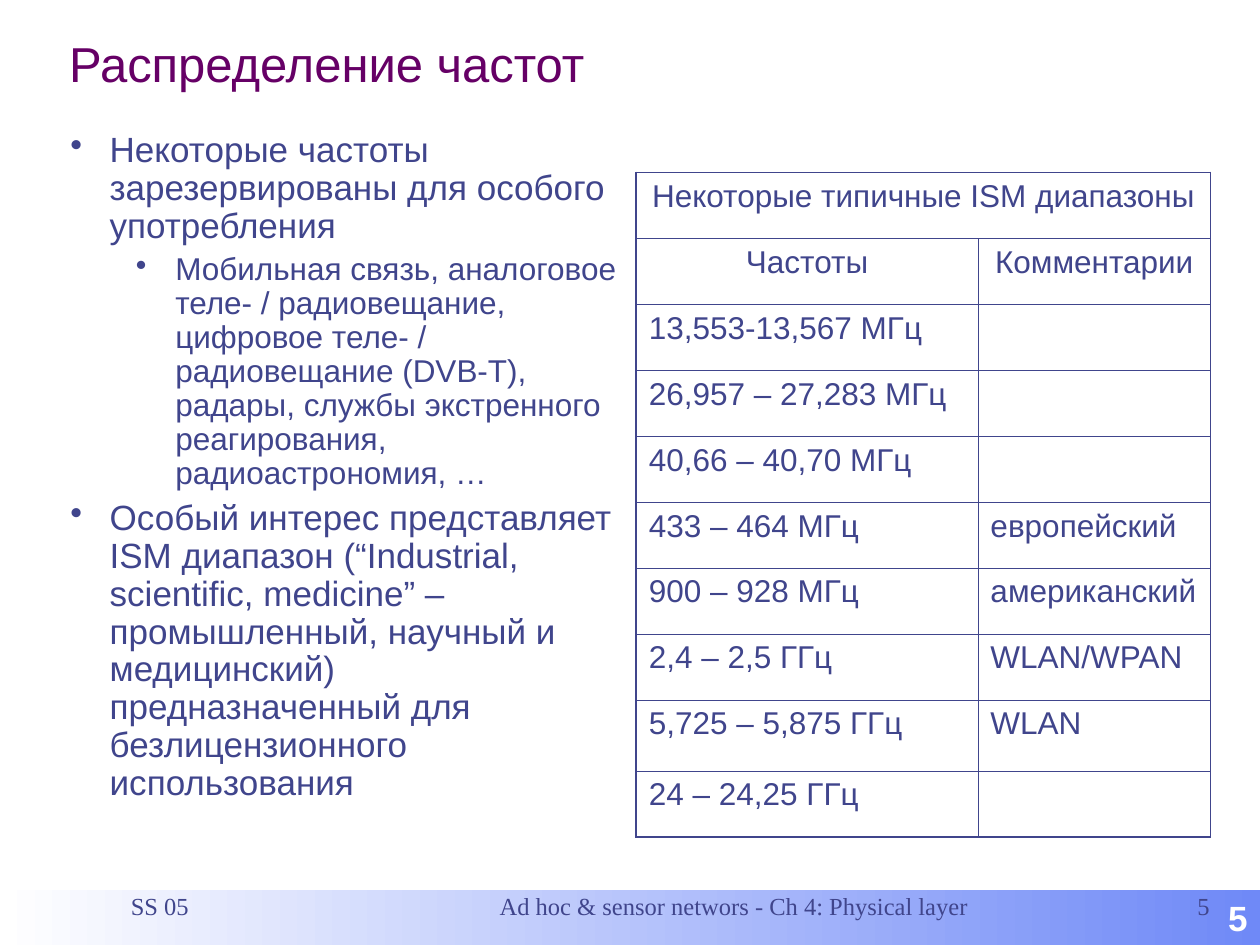
from pptx import Presentation
from pptx.dml.color import RGBColor
from pptx.enum.shapes import MSO_SHAPE as Shape
from pptx.enum.text import MSO_ANCHOR as Anchor, PP_ALIGN as Align
from pptx.oxml import parse_xml
from pptx.oxml.ns import nsdecls
from pptx.util import Pt

THEME = {
    "title": "660066", "ink": "40458C", "bar": "6F89F7", "paper": "FFFFFF",
    "sans": "Arial", "serif": "Times New Roman",
    "title_size": 28, "body_size": 20, "detail_size": 18, "footer_size": 14,
    "outer_line": 1.08, "inner_line": 0.45,
}

TITLE = "Распределение частот"
BULLETS = [
    (0, "Некоторые частоты зарезервированы для особого употребления"),
    (1, "Мобильная связь, аналоговое теле- / радиовещание, цифровое теле- / "
        "радиовещание (DVB-T), радары, службы экстренного реагирования, радиоастрономия, …"),
    (0, "Особый интерес представляет ISM диапазон (“Industrial, scientific, medicine” – "
        "промышленный, научный и медицинский) предназначенный для безлицензионного использования"),
]
BULLET_LEVELS = [
    {"size": THEME["body_size"], "indent": 22.5, "before": 5},
    {"size": THEME["detail_size"], "indent": 60, "before": 4.5},
]
BANDS = [
    ("Некоторые типичные ISM диапазоны", ""),
    ("Частоты", "Комментарии"),
    ("13,553-13,567 МГц", ""),
    ("26,957 – 27,283 МГц", ""),
    ("40,66 – 40,70 МГц", ""),
    ("433 – 464 МГц", "европейский"),
    ("900 – 928 МГц", "американский"),
    ("2,4 – 2,5 ГГц", "WLAN/WPAN"),
    ("5,725 – 5,875 ГГц", "WLAN"),
    ("24 – 24,25 ГГц", ""),
]
HEADER_ROWS = 2
COLUMN_WIDTHS = [195.2, 133]
ROW_HEIGHTS = [37.7] * 8 + [40.6, 37.7]
FOOTERS = [
    ("Ad hoc & sensor networs - Ch 4: Physical layer", 187.2, 447.1, Align.CENTER),
    ("5", 645.8, 52.6, Align.RIGHT),
    ("SS 05", 50.4, 125.3, Align.LEFT),
]


def color(name):
    return RGBColor.from_string(THEME[name])


def write(paragraph, text, *, size, font="sans", ink="ink", bold=False, align=Align.LEFT,
          indent=0, hanging=0, bullet=None, spacing=None, before=None):
    paragraph.alignment = align
    properties = paragraph._p.get_or_add_pPr()
    properties.set("marL", str(Pt(indent)))
    properties.set("indent", str(-Pt(hanging)))
    if bullet:
        properties.append(parse_xml(
            f'<a:buClr {nsdecls("a")}><a:srgbClr val="{THEME[ink]}"/></a:buClr>'))
        properties.append(parse_xml(f'<a:buChar {nsdecls("a")} char="{bullet}"/>'))
    if spacing:
        paragraph.line_spacing = spacing
    if before:
        paragraph.space_before = Pt(before)
    run = paragraph.add_run()
    run.text = text
    run.font.size = Pt(size)
    run.font.name = THEME[font]
    run.font.bold = bold
    run.font.color.rgb = color(ink)


def add_box(slide, left, top, width, height, anchor):
    frame = slide.shapes.add_textbox(Pt(left), Pt(top), Pt(width), Pt(height)).text_frame
    frame.word_wrap = True
    frame.vertical_anchor = anchor
    return frame


def set_borders(cell, outer_sides):
    properties = cell._tc.get_or_add_tcPr()
    for position, side in enumerate("LRTB"):
        width = THEME["outer_line" if side in outer_sides else "inner_line"]
        properties.insert(position, parse_xml(
            f'<a:ln{side} {nsdecls("a")} w="{Pt(width)}"><a:solidFill>'
            f'<a:srgbClr val="{THEME["ink"]}"/></a:solidFill></a:ln{side}>'))


def add_band_table(slide):
    table = slide.shapes.add_table(
        len(BANDS), len(COLUMN_WIDTHS), Pt(363.6), Pt(98.6),
        Pt(sum(COLUMN_WIDTHS)), Pt(sum(ROW_HEIGHTS))).table
    table.first_row = table.horz_banding = False
    for column, width in zip(table.columns, COLUMN_WIDTHS):
        column.width = Pt(width)
    for row, height in zip(table.rows, ROW_HEIGHTS):
        row.height = Pt(height)
    table.cell(0, 0).merge(table.cell(0, 1))

    for row_index, texts in enumerate(BANDS):
        for column_index, text in enumerate(texts):
            cell = table.cell(row_index, column_index)
            cell.fill.background()
            edges = {
                "L": column_index == 0,
                "R": column_index == len(texts) - 1 or cell.is_merge_origin,
                "T": row_index == 0,
                "B": row_index == len(BANDS) - 1,
            }
            set_borders(cell, [side for side, outer in edges.items() if outer])
            if text:
                write(cell.text_frame.paragraphs[0], text, size=THEME["detail_size"],
                      align=Align.CENTER if row_index < HEADER_ROWS else Align.LEFT)


def add_footer_bar(slide):
    bar = slide.shapes.add_shape(Shape.RECTANGLE, Pt(0), Pt(508.5), Pt(720), Pt(31.5))
    bar.shadow.inherit = False
    bar.line.fill.background()
    bar.fill.gradient()
    bar.fill.gradient_angle = 180
    for stop, name, position in zip(bar.fill.gradient_stops, ("bar", "paper"), (0, 1)):
        stop.color.rgb = color(name)
        stop.position = position
    bar.text_frame.vertical_anchor = Anchor.MIDDLE
    write(bar.text_frame.paragraphs[0], "5", size=THEME["body_size"], ink="paper",
          bold=True, align=Align.RIGHT)


def main():
    presentation = Presentation()
    presentation.slide_width, presentation.slide_height = Pt(720), Pt(540)
    slide = presentation.slides.add_slide(presentation.slide_layouts[6])

    title = add_box(slide, 32.4, 11.5, 671.8, 44.6, Anchor.BOTTOM)
    write(title.paragraphs[0], TITLE, size=THEME["title_size"], ink="title")

    body = add_box(slide, 33.1, 72, 328.3, 409, Anchor.TOP)
    for index, (level, text) in enumerate(BULLETS):
        paragraph = body.add_paragraph() if index else body.paragraphs[0]
        paragraph.level = level
        style = dict(BULLET_LEVELS[level])
        if index == 0:
            style["before"] = None
        write(paragraph, text, bullet="•", hanging=22.5, spacing=0.9, **style)

    add_band_table(slide)
    add_footer_bar(slide)
    for text, left, width, align in FOOTERS:
        footer = add_box(slide, left, 499, width, 37.4, Anchor.MIDDLE)
        write(footer.paragraphs[0], text, size=THEME["footer_size"], font="serif",
              align=align, indent=17.3)

    presentation.save("out.pptx")


if __name__ == "__main__":
    main()
